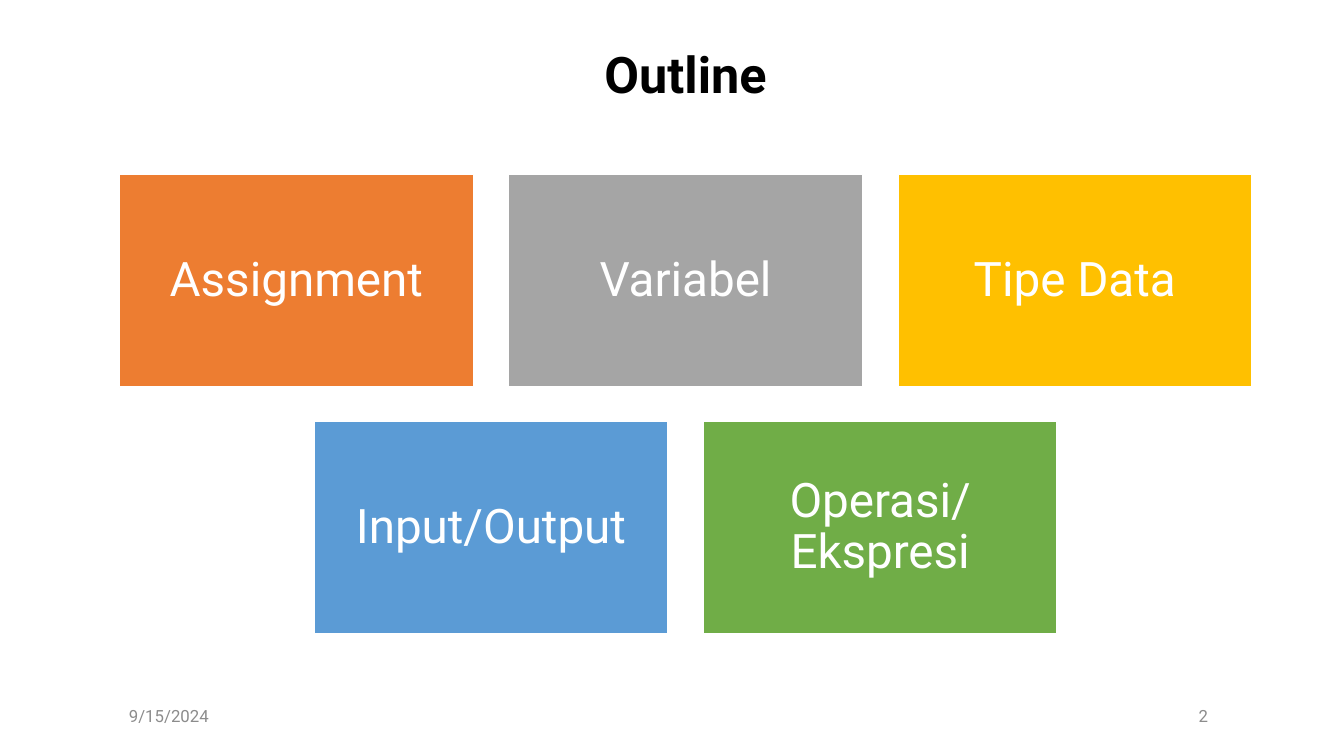
from pptx import Presentation
from pptx.dml.color import RGBColor
from pptx.enum.shapes import MSO_SHAPE
from pptx.enum.text import MSO_ANCHOR, PP_ALIGN
from pptx.util import Inches, Pt

RECTANGLE = MSO_SHAPE.RECTANGLE
MIDDLE = MSO_ANCHOR.MIDDLE
LEFT, CENTER, RIGHT = PP_ALIGN.LEFT, PP_ALIGN.CENTER, PP_ALIGN.RIGHT

BLACK = RGBColor(0x00, 0x00, 0x00)
WHITE = RGBColor(0xFF, 0xFF, 0xFF)
FOOTER_GRAY = RGBColor(0x8C, 0x8C, 0x8C)
ORANGE = RGBColor(0xED, 0x7D, 0x31)
GRAY = RGBColor(0xA5, 0xA5, 0xA5)
GOLD = RGBColor(0xFF, 0xC0, 0x00)
BLUE = RGBColor(0x5B, 0x9B, 0xD5)
GREEN = RGBColor(0x70, 0xAD, 0x47)

TOPIC_ROWS = [
    [("Assignment", ORANGE), ("Variabel", GRAY), ("Tipe Data", GOLD)],
    [("Input/Output", BLUE), ("Operasi/Ekspresi", GREEN)],
]
TOPICS_CENTER, TOPICS_TOP = 6.8, 1.73
TOPIC_WIDTH, TOPIC_HEIGHT = 3.51, 2.11
COLUMN_GAP, ROW_GAP = 0.35, 0.34


class OutlineSlide:
    font_name = "Roboto"

    def __init__(self, slide):
        self.slide = slide

    def set_text(self, frame, text, size, color, align, bold=False, spacing=1.0):
        frame.word_wrap = True
        frame.vertical_anchor = MIDDLE
        paragraph = frame.paragraphs[0]
        paragraph.text = text
        paragraph.alignment = align
        paragraph.line_spacing = spacing
        paragraph.font.name = self.font_name
        paragraph.font.size = Pt(size)
        paragraph.font.bold = bold
        paragraph.font.color.rgb = color

    def label(self, box, text, size, color, align, **style):
        area = self.slide.shapes.add_textbox(*map(Inches, box))
        self.set_text(area.text_frame, text, size, color, align, **style)

    def topic(self, left, top, text, color):
        tile = self.slide.shapes.add_shape(
            RECTANGLE, Inches(left), Inches(top),
            Inches(TOPIC_WIDTH), Inches(TOPIC_HEIGHT))
        tile.shadow.inherit = False
        tile.fill.solid()
        tile.fill.fore_color.rgb = color
        tile.line.color.rgb = WHITE
        tile.line.width = Pt(1)
        frame = tile.text_frame
        frame.margin_left = frame.margin_right = Inches(0.14)
        frame.margin_top = frame.margin_bottom = Inches(0.14)
        self.set_text(frame, text, 34, WHITE, CENTER, spacing=0.9)

    def topic_row(self, top, topics):
        pitch = TOPIC_WIDTH + COLUMN_GAP
        start = TOPICS_CENTER - (len(topics) * pitch - COLUMN_GAP) / 2
        for column, (text, color) in enumerate(topics):
            self.topic(start + column * pitch, top, text, color)


def main():
    presentation = Presentation()
    presentation.slide_width = Inches(13.33)
    presentation.slide_height = Inches(7.5)
    outline = OutlineSlide(
        presentation.slides.add_slide(presentation.slide_layouts[6]))

    outline.label((1.18, 0.4, 11.24, 0.74), "Outline", 36, BLACK, CENTER,
                  bold=True, spacing=0.9)
    for row, topics in enumerate(TOPIC_ROWS):
        outline.topic_row(TOPICS_TOP + row * (TOPIC_HEIGHT + ROW_GAP), topics)
    outline.label((1.18, 6.9, 1.51, 0.4), "9/15/2024", 12, FOOTER_GRAY, LEFT)
    outline.label((2.75, 6.9, 9.33, 0.4), "2", 12, FOOTER_GRAY, RIGHT)

    presentation.save("out.pptx")


if __name__ == "__main__":
    main()
